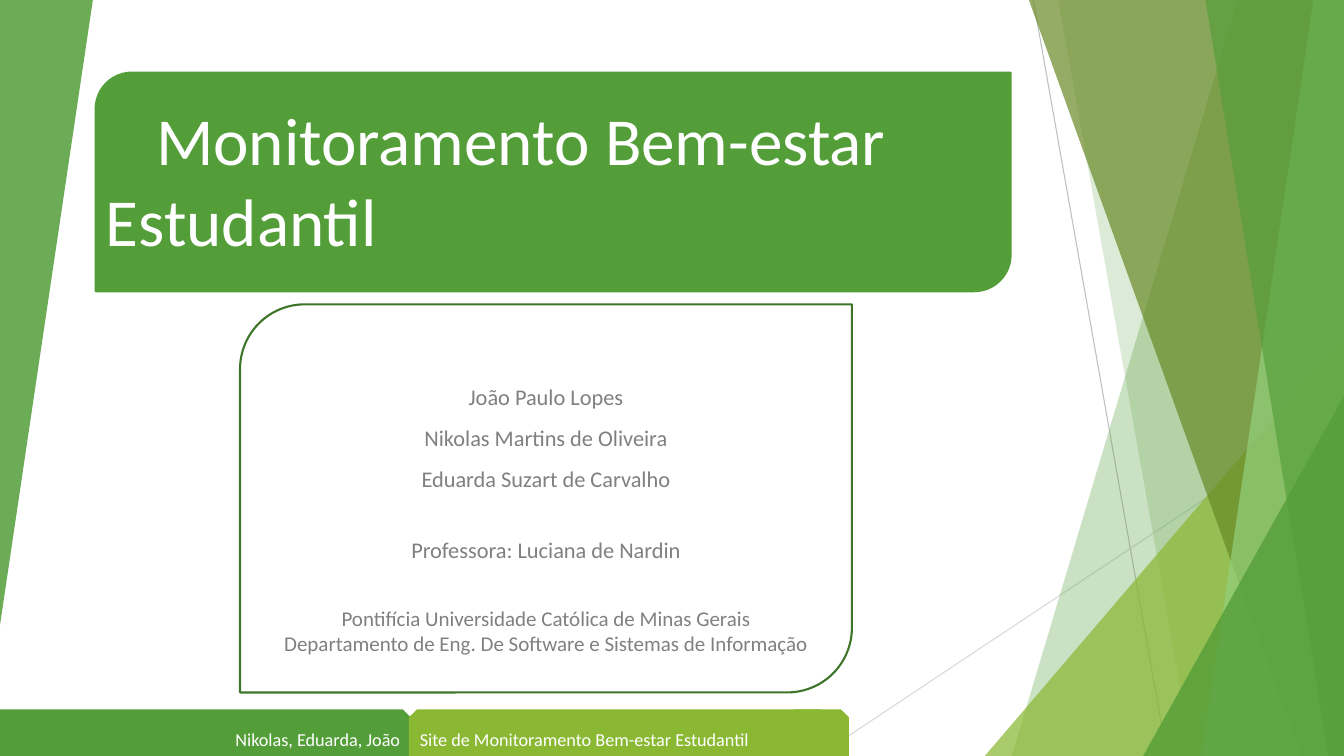
from dataclasses import dataclass, field

from lxml import etree
from pptx import Presentation
from pptx import util as u
from pptx.dml.color import RGBColor
from pptx.enum import shapes, text
from pptx.oxml.ns import qn

WIDTH, HEIGHT = 33.87, 19.05  # all lengths are in centimetres
KIND = shapes.MSO_SHAPE
ALIGN = text.PP_ALIGN


@dataclass(frozen=True)
class Theme:
    green: str = "549E39"
    dark_green: str = "3E752A"
    pale_green: str = "93D07D"
    lime: str = "8AB833"
    olive: str = "678A26"
    grey: str = "808080"
    mid_grey: str = "BFBFBF"
    light_grey: str = "D9D9D9"
    white: str = "FFFFFF"
    font: str = "Calibri"
    title_size: float = 48
    name_size: float = 16
    institution_size: float = 15
    footer_size: float = 13
    hairline: float = 0.75
    outline: float = 1.5


THEME = Theme()


@dataclass(frozen=True)
class Box:
    left: float
    top: float
    width: float
    height: float

    def lengths(self) -> list:
        return [u.Cm(v) for v in (self.left, self.top, self.width, self.height)]


@dataclass(frozen=True)
class Ray:
    start: tuple
    end: tuple
    color: str


@dataclass(frozen=True)
class Facet:
    """A band reaching the right slide edge, with a slanted left side."""
    top_x: float
    bottom_x: float
    color: str
    opacity: int


@dataclass(frozen=True)
class Panel:
    kind: int
    box: Box
    fill: str = ""
    line: str = ""
    opacity: int = 100
    rotation: float = 0
    flipped: bool = False


@dataclass(frozen=True)
class Caption:
    box: Box
    lines: tuple
    size: float
    color: str
    align: int
    spacing: tuple = ()  # points before each line
    frame: dict = field(default_factory=dict)


def triangle(box: Box, color: str, opacity: int, rotation: float = 0) -> Panel:
    return Panel(KIND.ISOSCELES_TRIANGLE, box, color, "", opacity, rotation)


def style_shape(shape, fill: str, line: str = "", opacity: int = 100) -> None:
    shape.shadow.inherit = False
    if fill:
        shape.fill.solid()
        shape.fill.fore_color.rgb = RGBColor.from_string(fill)
    else:
        shape.fill.background()
    if opacity < 100:
        for color in shape.element.spPr.iter(qn("a:srgbClr")):
            etree.SubElement(color, qn("a:alpha")).set("val", str(opacity * 1000))
    if line:
        shape.line.color.rgb = RGBColor.from_string(line)
        shape.line.width = u.Pt(THEME.outline)
    else:
        shape.line.fill.background()


def draw_ray(slide, ray: Ray) -> None:
    ends = [u.Cm(v) for v in ray.start + ray.end]
    connector = slide.shapes.add_connector(shapes.MSO_CONNECTOR.STRAIGHT, *ends)
    connector.line.color.rgb = RGBColor.from_string(ray.color)
    connector.line.width = u.Pt(THEME.hairline)
    etree.SubElement(connector.element.spPr, qn("a:effectLst"))


def draw_facet(slide, facet: Facet) -> None:
    corners = [(WIDTH, 0), (WIDTH, HEIGHT), (facet.bottom_x, HEIGHT)]
    builder = slide.shapes.build_freeform(u.Cm(facet.top_x), 0)
    builder.add_line_segments([(u.Cm(x), u.Cm(y)) for x, y in corners], close=True)
    style_shape(builder.convert_to_shape(), facet.color, opacity=facet.opacity)


def draw_panel(slide, panel: Panel) -> None:
    shape = slide.shapes.add_shape(panel.kind, *panel.box.lengths())
    style_shape(shape, panel.fill, panel.line, panel.opacity)
    shape.rotation = panel.rotation
    if panel.kind == KIND.ISOSCELES_TRIANGLE:
        shape.adjustments[0] = 1
    if panel.flipped:
        shape.element.spPr.find(qn("a:xfrm")).set("flipH", "1")


def write_caption(shape, caption: Caption) -> None:
    frame = shape.text_frame
    frame.text = "\n".join(caption.lines)
    formats = {"word_wrap": True, "auto_size": text.MSO_AUTO_SIZE.NONE}
    for name, value in (formats | caption.frame).items():
        setattr(frame, name, value)
    font_format = {"name": THEME.font, "size": u.Pt(caption.size)}
    for index, paragraph in enumerate(frame.paragraphs):
        paragraph.alignment = caption.align
        if caption.spacing:
            paragraph.space_before = u.Pt(caption.spacing[index])
        for run in paragraph.runs:
            for name, value in font_format.items():
                setattr(run.font, name, value)
            run.font.color.rgb = RGBColor.from_string(caption.color)


def draw_caption(slide, caption: Caption) -> None:
    write_caption(slide.shapes.add_textbox(*caption.box.lengths()), caption)


def draw_title(slide, caption: Caption, indent: float) -> None:
    title = slide.shapes.title
    title.left, title.top, title.width, title.height = caption.box.lengths()
    write_caption(title, caption)
    for properties in title.element.iter(qn("a:pPr")):
        properties.set("indent", str(u.Cm(indent)))
    title.element.getparent().append(title.element)  # in front of its banner


# Background decoration
RAYS = [
    Ray((26.04, 0), (29.41, HEIGHT), THEME.mid_grey),
    Ray((WIDTH, 10.24), (20.62, HEIGHT), THEME.light_grey),
]
DECORATION = [
    Facet(31.19, 25.5, THEME.green, 30),
    Facet(26.67, 30.05, THEME.green, 20),
    triangle(Box(24.82, 8.46, 9.05, 10.59), THEME.lime, 72),
    Facet(25.93, 32.79, THEME.olive, 70),
    Facet(33.1, 30.28, THEME.pale_green, 70),
    Facet(30.38, 33.48, THEME.green, 65),
    triangle(Box(28.81, 9.98, 5.06, 9.07), THEME.green, 80),
    triangle(Box(0, 0, 2.34, 15.75), THEME.green, 85, 180),
]

# Banner, footer tabs and frame
TAB, TAB_TOP, TAB_HEIGHT, TAB_TEXT_TOP = 10.33, 17.9, 1.15, 18.24
PANELS = [
    Panel(KIND.ROUND_2_DIAG_RECTANGLE, Box(2.41, 1.83, 23.06, 5.51),
          THEME.green, THEME.green),
    Panel(KIND.SNIP_1_RECTANGLE, Box(0, TAB_TOP, TAB, TAB_HEIGHT),
          THEME.green, THEME.green),
    Panel(KIND.SNIP_1_RECTANGLE, Box(TAB, TAB_TOP, TAB, TAB_HEIGHT),
          THEME.lime, THEME.lime, flipped=True),
    Panel(KIND.SNIP_1_RECTANGLE, Box(20.02, TAB_TOP, 1.35, TAB_HEIGHT),
          THEME.lime, THEME.lime),
    Panel(KIND.ROUND_2_DIAG_RECTANGLE, Box(6.05, 7.67, 15.42, 9.78),
          line=THEME.dark_green),
]

# Wording
TITLE = Caption(Box(2.41, 1.83, 23.06, 4.85), ("Monitoramento Bem-estar Estudantil",),
                THEME.title_size, THEME.white, ALIGN.LEFT,
                frame={"vertical_anchor": text.MSO_ANCHOR.BOTTOM})
CAPTIONS = [
    Caption(Box(6.05, 8.46, 15.42, 5.92),
            ("João Paulo Lopes", "Nikolas Martins de Oliveira",
             "Eduarda Suzart de Carvalho", "Professora: Luciana de Nardin"),
            THEME.name_size, THEME.grey, ALIGN.CENTER, (0, 10, 10, 32),
            {"margin_top": u.Cm(1.19)}),
    Caption(Box(6.05, 15.14, 15.42, 1.55),
            ("Pontifícia Universidade Católica de Minas Gerais",
             "Departamento de Eng. De Software e Sistemas de Informação"),
            THEME.institution_size, THEME.grey, ALIGN.CENTER),
    Caption(Box(0, TAB_TEXT_TOP, TAB, 0.81), ("Nikolas, Eduarda, João",),
            THEME.footer_size, THEME.white, ALIGN.RIGHT),
    Caption(Box(TAB, TAB_TEXT_TOP, TAB, 0.81),
            ("Site de Monitoramento Bem-estar Estudantil",),
            THEME.footer_size, THEME.white, ALIGN.LEFT),
]


def main() -> None:
    presentation = Presentation()
    presentation.slide_width, presentation.slide_height = u.Cm(WIDTH), u.Cm(HEIGHT)
    slide = presentation.slides.add_slide(presentation.slide_layouts[5])
    for ray in RAYS:
        draw_ray(slide, ray)
    for part in DECORATION:
        draw = draw_facet if isinstance(part, Facet) else draw_panel
        draw(slide, part)
    for panel in PANELS:
        draw_panel(slide, panel)
    draw_title(slide, TITLE, indent=1.27)
    for caption in CAPTIONS:
        draw_caption(slide, caption)
    presentation.save("out.pptx")


if __name__ == "__main__":
    main()
